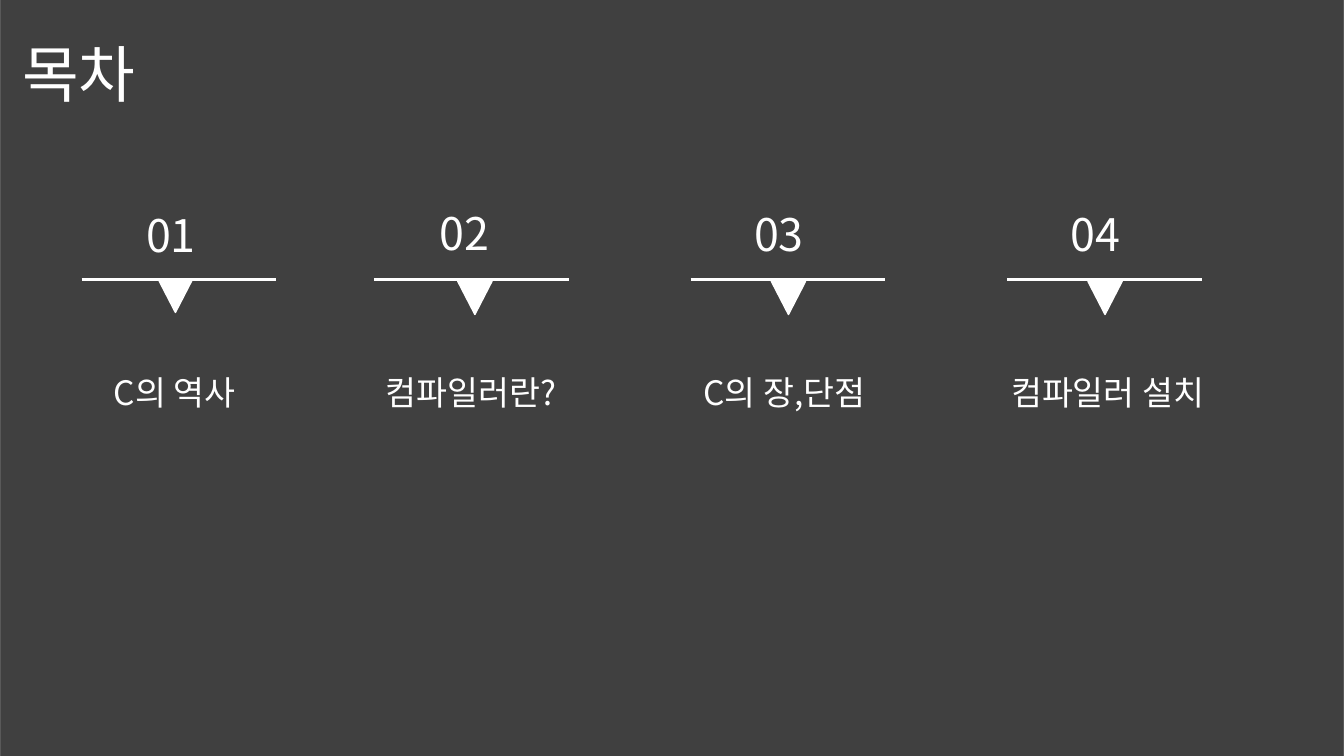
from lxml.etree import SubElement
from pptx import Presentation
from pptx.dml.color import RGBColor
from pptx.enum.shapes import MSO_CONNECTOR, MSO_SHAPE
from pptx.enum.text import MSO_ANCHOR, MSO_AUTO_SIZE, PP_ALIGN
from pptx.oxml.ns import qn
from pptx.util import Inches, Pt

FONT = "Noto Sans CJK KR"
WHITE, CHARCOAL, EDGE = "FFFFFF", "404040", "595959"
TITLE = "목차"

# number, topic, rule left, (number left, top), (topic left, width), (pointer left, top)
CHAPTERS = [
    ("01", "C의 역사", 0.81, (1.35, 2.01), (1.03, 1.91), (1.57, 2.77)),
    ("02", "컴파일러란?", 3.71, (4.26, 1.99), (3.73, 2.17), (4.54, 2.79)),
    ("03", "C의 장,단점", 6.85, (7.38, 2.0), (6.88, 2.13), (7.65, 2.79)),
    ("04", "컴파일러 설치", 9.99, (10.52, 2.0), (9.93, 2.41), (10.79, 2.79)),
]
RULE_TOP, RULE_WIDTH = 2.77, 1.93
NUMBER_SIZE = (1.91, 0.64)
TOPIC_TOP, TOPIC_HEIGHT = 3.64, 0.5
POINTER_SIZE = (0.34, 0.33)


def color(value):
    return RGBColor.from_string(value)


def inches(*lengths):
    return [Inches(length) for length in lengths]


def write(frame, text, size):
    frame.word_wrap = True
    paragraph = frame.paragraphs[0]
    paragraph.text = text
    paragraph.alignment = PP_ALIGN.LEFT
    font = paragraph.font
    font.size = Pt(size)
    font.color.rgb = color(WHITE)
    font.name = FONT
    properties = paragraph._p.pPr.find(qn("a:defRPr"))
    SubElement(properties, qn("a:ea")).set("typeface", FONT)
    return paragraph


def add_text(slide, text, size, *box):
    frame = slide.shapes.add_textbox(*inches(*box)).text_frame
    write(frame, text, size)
    frame.auto_size = MSO_AUTO_SIZE.SHAPE_TO_FIT_TEXT


def add_filled(slide, preset, fill, line, *box):
    shape = slide.shapes.add_shape(preset, *inches(*box))
    shape.shadow.inherit = False
    shape.fill.solid()
    shape.fill.fore_color.rgb = color(fill)
    shape.line.color.rgb = color(line)
    shape.line.width = Pt(1)
    return shape


def add_rule(slide, left):
    rule = slide.shapes.add_connector(
        MSO_CONNECTOR.STRAIGHT,
        *inches(left, RULE_TOP, left + RULE_WIDTH, RULE_TOP))
    rule.line.color.rgb = color(WHITE)
    rule.line.width = Pt(2.25)
    SubElement(rule._element.spPr, qn("a:effectLst"))


def main():
    deck = Presentation()
    deck.slide_width, deck.slide_height = inches(13.33, 7.5)
    slide = deck.slides.add_slide(deck.slide_layouts[5])

    backdrop = add_filled(slide, MSO_SHAPE.RECTANGLE, CHARCOAL, EDGE,
                          0, -0.03, 13.33, 7.56)
    title = slide.shapes.title
    title._element.addprevious(backdrop._element)
    title.left, title.top, title.width, title.height = inches(0.12, 0.04, 11.5, 1.45)
    title.text_frame.vertical_anchor = MSO_ANCHOR.MIDDLE
    title.text_frame.auto_size = MSO_AUTO_SIZE.NONE
    write(title.text_frame, TITLE, 44).line_spacing = 0.9

    for number, topic, rule_left, number_at, (topic_left, topic_width), pointer_at in CHAPTERS:
        add_rule(slide, rule_left)
        add_text(slide, number, 32, *number_at, *NUMBER_SIZE)
        add_text(slide, topic, 24, topic_left, TOPIC_TOP, topic_width, TOPIC_HEIGHT)
        pointer = add_filled(slide, MSO_SHAPE.ISOSCELES_TRIANGLE, WHITE, WHITE,
                             *pointer_at, *POINTER_SIZE)
        pointer.rotation = 180

    deck.save("out.pptx")


if __name__ == "__main__":
    main()
